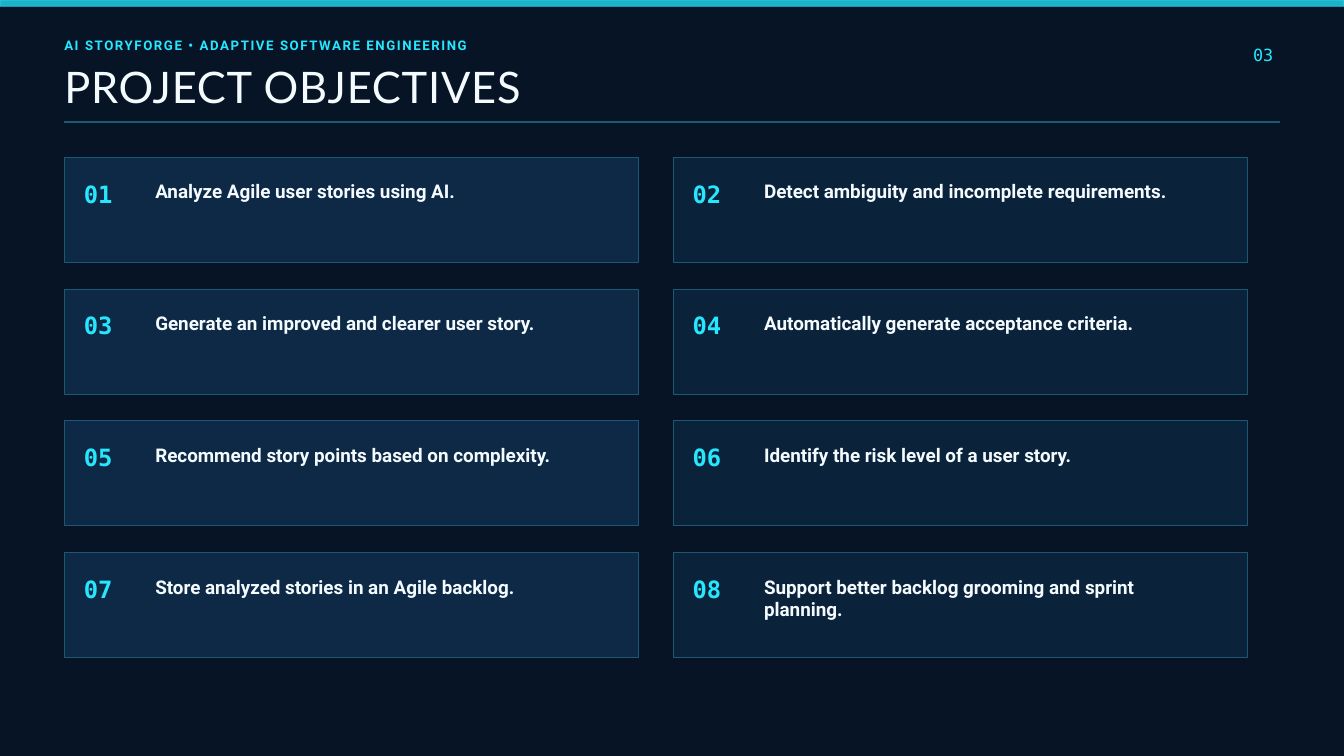
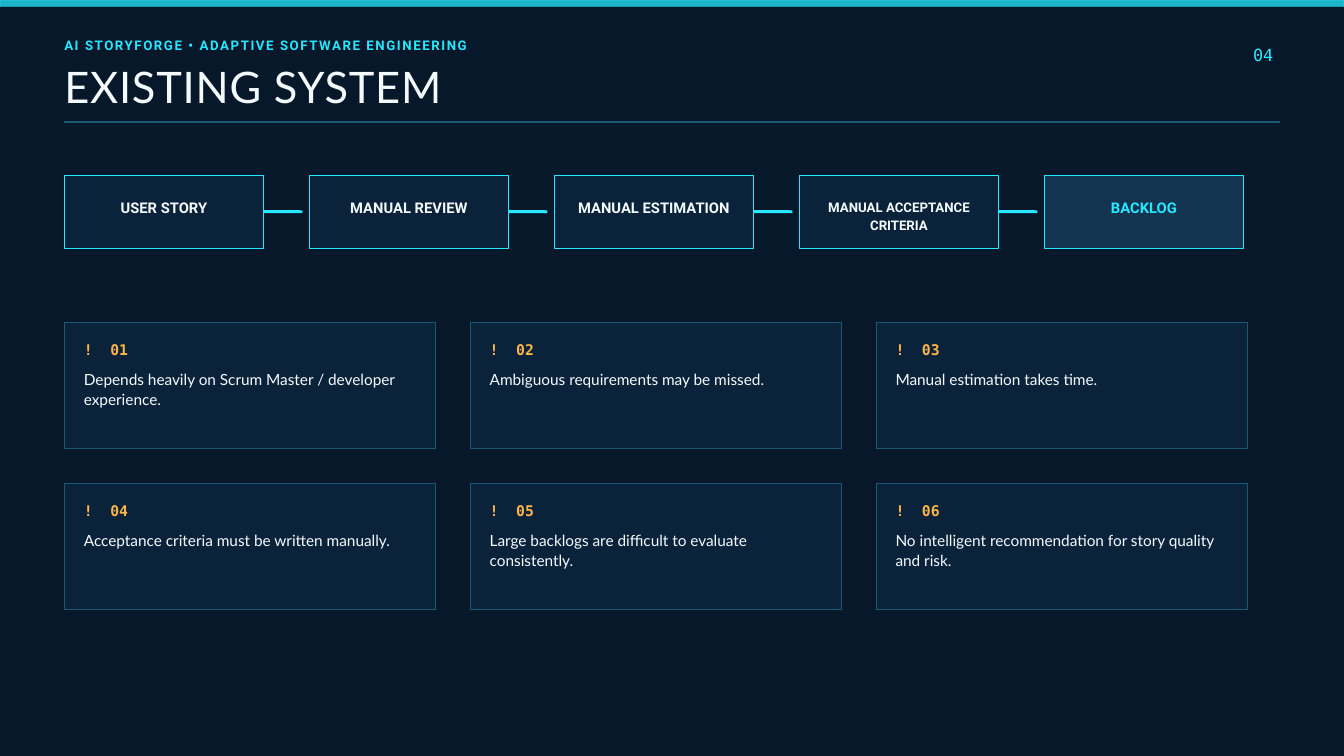
from collections import namedtuple

from pptx import Presentation
from pptx.dml.color import RGBColor
from pptx.enum import shapes, text
from pptx.oxml import ns, xmlchemy
from pptx.util import Cm, Pt

CYAN, WHITE, AMBER = "27E7FF", "F4FBFF", "FFB547"
PANEL, PANEL_BLUE, PANEL_LIT, EDGE = "0B223B", "0D2946", "123451", "1B5873"
MARGIN = 2.43
KICKER = "AI STORYFORGE • ADAPTIVE SOFTWARE ENGINEERING"

Style = namedtuple("Style", "font size leading color bold spacing align",
                   defaults=(False, 0, text.PP_ALIGN.LEFT))
KICKER_STYLE = Style("Roboto", 14.2, 19.9, CYAN, True, 1.7)
TITLE_STYLE = Style("Lato", 46.5, 46.5, WHITE, spacing=0.9)
PAGE_STYLE = Style("DejaVu Sans Mono", 18, 25.2, CYAN, align=text.PP_ALIGN.RIGHT)
NUMBER_STYLE = Style("DejaVu Sans Mono", 25.5, 35.7, CYAN, True)
OBJECTIVE_STYLE = Style("Roboto", 20.2, 24.3, WHITE, True)
STEP_STYLE = Style("Roboto", 15.8, 22, WHITE, True, align=text.PP_ALIGN.CENTER)
LONG_STEP_STYLE = STEP_STYLE._replace(size=14.2, leading=19.9)
LAST_STEP_STYLE = STEP_STYLE._replace(color=CYAN)
TAG_STYLE = Style("DejaVu Sans Mono", 15.8, 22, AMBER, True)
ISSUE_STYLE = Style("Lato", 16.5, 21.4, WHITE)

OBJECTIVES = [
    "Analyze Agile user stories using AI.",
    "Detect ambiguity and incomplete requirements.",
    "Generate an improved and clearer user story.",
    "Automatically generate acceptance criteria.",
    "Recommend story points based on complexity.",
    "Identify the risk level of a user story.",
    "Store analyzed stories in an Agile backlog.",
    "Support better backlog grooming and sprint planning.",
]
STEPS = [
    ("USER STORY", STEP_STYLE, PANEL),
    ("MANUAL REVIEW", STEP_STYLE, PANEL),
    ("MANUAL ESTIMATION", STEP_STYLE, PANEL),
    ("MANUAL ACCEPTANCE CRITERIA", LONG_STEP_STYLE, PANEL),
    ("BACKLOG", LAST_STEP_STYLE, PANEL_LIT),
]
ISSUES = [
    "Depends heavily on Scrum Master / developer experience.",
    "Ambiguous requirements may be missed.",
    "Manual estimation takes time.",
    "Acceptance criteria must be written manually.",
    "Large backlogs are difficult to evaluate consistently.",
    "No intelligent recommendation for story quality and risk.",
]


def rgb(color):
    return RGBColor.from_string(color)


def sub(parent, tag, **attrs):
    """Append a child element with the given attributes."""
    child = xmlchemy.OxmlElement(tag)
    for name, value in attrs.items():
        child.set(name, str(value))
    parent.append(child)
    return child


def write(tf, words, style, insets=(0, 0), tab=None):
    """Fill a frame with one styled paragraph; insets are (side, top) in cm."""
    side, top = insets
    tf.word_wrap = True
    tf.vertical_anchor = text.MSO_ANCHOR.TOP
    tf.margin_left = tf.margin_right = Cm(side)
    tf.margin_top, tf.margin_bottom = Cm(top), 0
    tf.text = words
    p = tf.paragraphs[0]
    if tab:
        tabs = sub(p._p.get_or_add_pPr(), "a:tabLst")
        sub(tabs, "a:tab", pos=Cm(tab), algn="l")
    p.alignment = style.align
    p.line_spacing = Pt(style.leading)
    for r in p.runs:
        r.font.name, r.font.size, r.font.bold = style.font, Pt(style.size), style.bold
        r.font.color.rgb = rgb(style.color)
        if style.spacing:
            r._r.get_or_add_rPr().set("spc", str(round(style.spacing * 100)))


def add_text(s, x, y, w, h, words, style, tab=None):
    tf = s.shapes.add_textbox(Cm(x), Cm(y), Cm(w), Cm(h)).text_frame
    write(tf, words, style, tab=tab)
    tf.auto_size = text.MSO_AUTO_SIZE.SHAPE_TO_FIT_TEXT


def add_panel(s, x, y, w, h, fill, edge):
    sp = s.shapes.add_shape(shapes.MSO_SHAPE.RECTANGLE, Cm(x), Cm(y), Cm(w), Cm(h))
    sp.shadow.inherit = False
    sp.fill.solid()
    sp.fill.fore_color.rgb = rgb(fill)
    sp.line.color.rgb = rgb(edge)
    sp.line.width = Pt(0.75)
    return sp


def add_line(s, x1, x2, y, color, width):
    line = s.shapes.add_connector(shapes.MSO_CONNECTOR.STRAIGHT,
                                  Cm(x1), Cm(y), Cm(x2), Cm(y))
    line.line.color.rgb = rgb(color)
    line.line.width = Pt(width)
    sub(line._element.spPr, "a:effectLst")
    return line


def add_page(prs, title, number, background):
    """Add a slide with the shared top band, heading, page number and rule."""
    s = prs.slides.add_slide(prs.slide_layouts[5])
    s.background.fill.solid()
    s.background.fill.fore_color.rgb = rgb(background)

    band = add_panel(s, 0, 0, 50.8, 0.24, CYAN, CYAN)
    for color in band._element.spPr.iter(ns.qn("a:srgbClr")):
        sub(color, "a:alpha", val=75000)

    add_text(s, MARGIN, 1.32, 26.47, 0.64, KICKER, KICKER_STYLE)
    heading = s.shapes.title
    heading.left, heading.top = Cm(MARGIN), Cm(2.59)
    heading.width, heading.height = Cm(39.67), Cm(1.78)
    write(heading.text_frame, title, TITLE_STYLE)
    heading.text_frame.auto_size = text.MSO_AUTO_SIZE.NONE
    add_text(s, 44.7, 1.57, 3.43, 0.84, f"{number:02}", PAGE_STYLE)
    add_line(s, MARGIN, 50.8 - MARGIN, 4.6, EDGE, 2)
    return s


def grid(items, columns, x, y, step_x, step_y):
    """Yield (number, left, top, item), row by row."""
    for i, item in enumerate(items):
        row, column = divmod(i, columns)
        yield i + 1, x + column * step_x, y + row * step_y, item


def add_objective(s, x, y, number, words):
    add_panel(s, x, y, 21.69, 3.97, PANEL_BLUE if number % 2 else PANEL, EDGE)
    add_text(s, x + 0.74, y + 0.66, 2.39, 1.14, f"{number:02}", NUMBER_STYLE)
    add_text(s, x + 3.44, y + 0.86, 16.54, 0.84, words, OBJECTIVE_STYLE)


def add_flow(s, x, y):
    """Place the row of steps, each but the last with a line leading on."""
    w, h, pitch, link = 7.54, 2.78, 9.26, 1.46
    for i, (words, style, fill) in enumerate(STEPS):
        left = x + i * pitch
        step = add_panel(s, left, y, w, h, fill, CYAN)
        write(step.text_frame, words, style, insets=(0.48, 0.81))
        if i < len(STEPS) - 1:
            line = add_line(s, left + w, left + w + link, y + h / 2, CYAN, 3)
            line.begin_connect(step, 3)


def add_issue(s, x, y, number, words):
    add_panel(s, x, y, 14.02, 4.76, PANEL, EDGE)
    add_text(s, x + 0.74, y + 0.6, 2.92, 0.71, f"!\t{number:02}", TAG_STYLE, tab=1)
    add_text(s, x + 0.74, y + 1.75, 12.45, 0.71, words, ISSUE_STYLE)


def main():
    prs = Presentation()
    prs.slide_width = Cm(50.8)
    prs.slide_height = prs.slide_width * 9 // 16

    s = add_page(prs, "PROJECT OBJECTIVES", 3, "061426")
    for number, x, y, words in grid(OBJECTIVES, 2, MARGIN, 5.94, 23.01, 4.98):
        add_objective(s, x, y, number, words)

    s = add_page(prs, "EXISTING SYSTEM", 4, "07182B")
    add_flow(s, MARGIN, 6.61)
    for number, x, y, words in grid(ISSUES, 3, MARGIN, 12.17, 15.34, 6.09):
        add_issue(s, x, y, number, words)

    prs.save("out.pptx")


if __name__ == "__main__":
    main()
